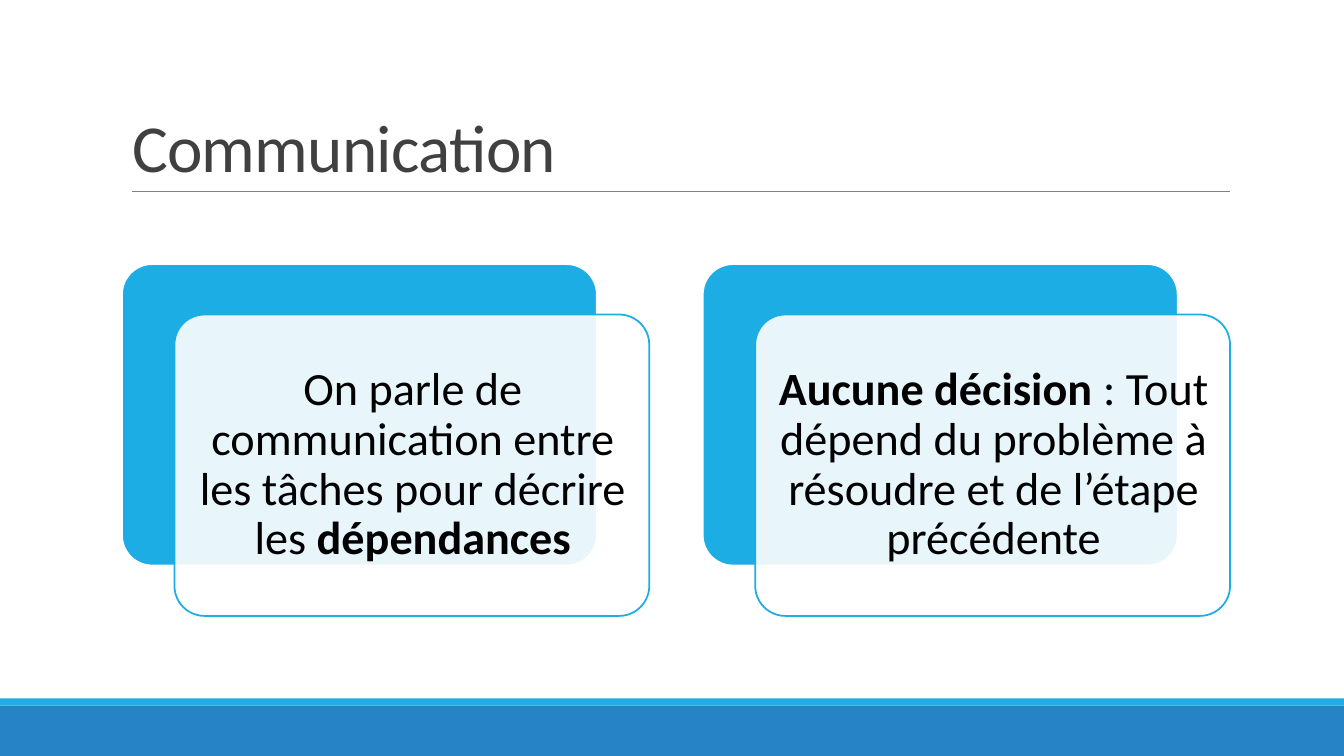
from lxml import etree
from pptx import Presentation, util as u
from pptx.dml.color import RGBColor
from pptx.enum import shapes as sh, text as tx
from pptx.oxml.ns import qn

COLORS = {
    "blue": "2683C6", "cyan": "1CADE4", "white": "FFFFFF",
    "rule": "808080", "title": "404040", "text": "000000",
}
FONT = "Calibri"
CARDS = [
    [("On parle de communication entre les tâches pour décrire les ", False),
     ("dépendances", True)],
    [("Aucune décision", True),
     (" : Tout dépend du problème à résoudre et de l’étape précédente", False)],
]


def color(name):
    return RGBColor.from_string(COLORS[name])


def add_box(slide, kind, box, fill, line=None):
    shape = slide.shapes.add_shape(kind, *map(u.Inches, box))
    shape.shadow.inherit = False
    shape.fill.solid()
    shape.fill.fore_color.rgb = color(fill)
    if line:
        shape.line.color.rgb = color(line)
        shape.line.width = u.Pt(1.25)
    else:
        shape.line.fill.background()
    return shape


def add_run(para, words, size, tint, bold=False):
    run = para.add_run()
    run.text = words
    font = run.font
    font.name, font.size, font.bold = FONT, u.Pt(size), bold
    font.color.rgb = color(tint)
    return run


def add_footer(slide, box):
    """Draw a wide band with a thin strip on top of it."""
    left, top, width, height = box
    strip = 0.07
    rect = sh.MSO_SHAPE.RECTANGLE
    add_box(slide, rect, (left, top + strip, width, height - strip), "blue")
    add_box(slide, rect, (left, top, width, strip), "cyan")


def add_title(slide, box, words):
    """Place the title at the foot of its box, with a rule below it."""
    left, top, width, height = box
    foot = u.Inches(top + height)
    rule = slide.shapes.add_connector(
        sh.MSO_CONNECTOR.STRAIGHT, u.Inches(left + 0.11), foot,
        u.Inches(left + width), foot)
    rule.line.color.rgb = color("rule")
    rule.line.width = u.Pt(0.5)
    etree.SubElement(rule._element.spPr, qn("a:effectLst"))

    frame = slide.shapes.add_textbox(*map(u.Inches, box)).text_frame
    frame.word_wrap = True
    frame.margin_left = u.Inches(0.11)
    frame.vertical_anchor = tx.MSO_ANCHOR.BOTTOM
    para = frame.paragraphs[0]
    para.line_spacing = 0.85
    run = add_run(para, words, 48, "title")
    run.font._element.set("spc", "-50")


def add_card(slide, box, parts):
    """Layer a clear text card over a solid one, shifted down and right."""
    left, top, width, height = box
    dx, dy = 0.52, 0.5
    size = (width - dx, height - dy)
    kind = sh.MSO_SHAPE.ROUNDED_RECTANGLE
    back = add_box(slide, kind, (left, top, *size), "cyan", "white")
    front = add_box(slide, kind, (left + dx, top + dy, *size), "white", "cyan")
    for shape in (back, front):
        shape.adjustments[0] = 0.1
    tint = front.fill._xPr.find(qn("a:solidFill"))[0]
    etree.SubElement(tint, qn("a:alpha"), val="90000")

    frame = front.text_frame
    frame.word_wrap = True
    frame.vertical_anchor = tx.MSO_ANCHOR.MIDDLE
    frame.margin_left, frame.margin_right = u.Inches(0.13), u.Inches(0.11)
    frame.margin_top = frame.margin_bottom = u.Inches(0.14)
    para = frame.paragraphs[0]
    para.alignment = tx.PP_ALIGN.CENTER
    para.line_spacing = 0.9
    for words, bold in parts:
        add_run(para, words, 33, "text", bold)


def main():
    deck = Presentation()
    deck.slide_width, deck.slide_height = u.Inches(13.33), u.Inches(7.5)
    slide = deck.slides.add_slide(deck.slide_layouts[6])
    add_footer(slide, (0, 6.93, 13.33, 0.57))
    add_title(slide, (1.2, 0.31, 11, 1.59), "Communication")
    for i, parts in enumerate(CARDS):
        add_card(slide, (1.21 + i * 5.76, 2.62, 5.23, 3.49), parts)
    deck.save("out.pptx")


if __name__ == "__main__":
    main()
